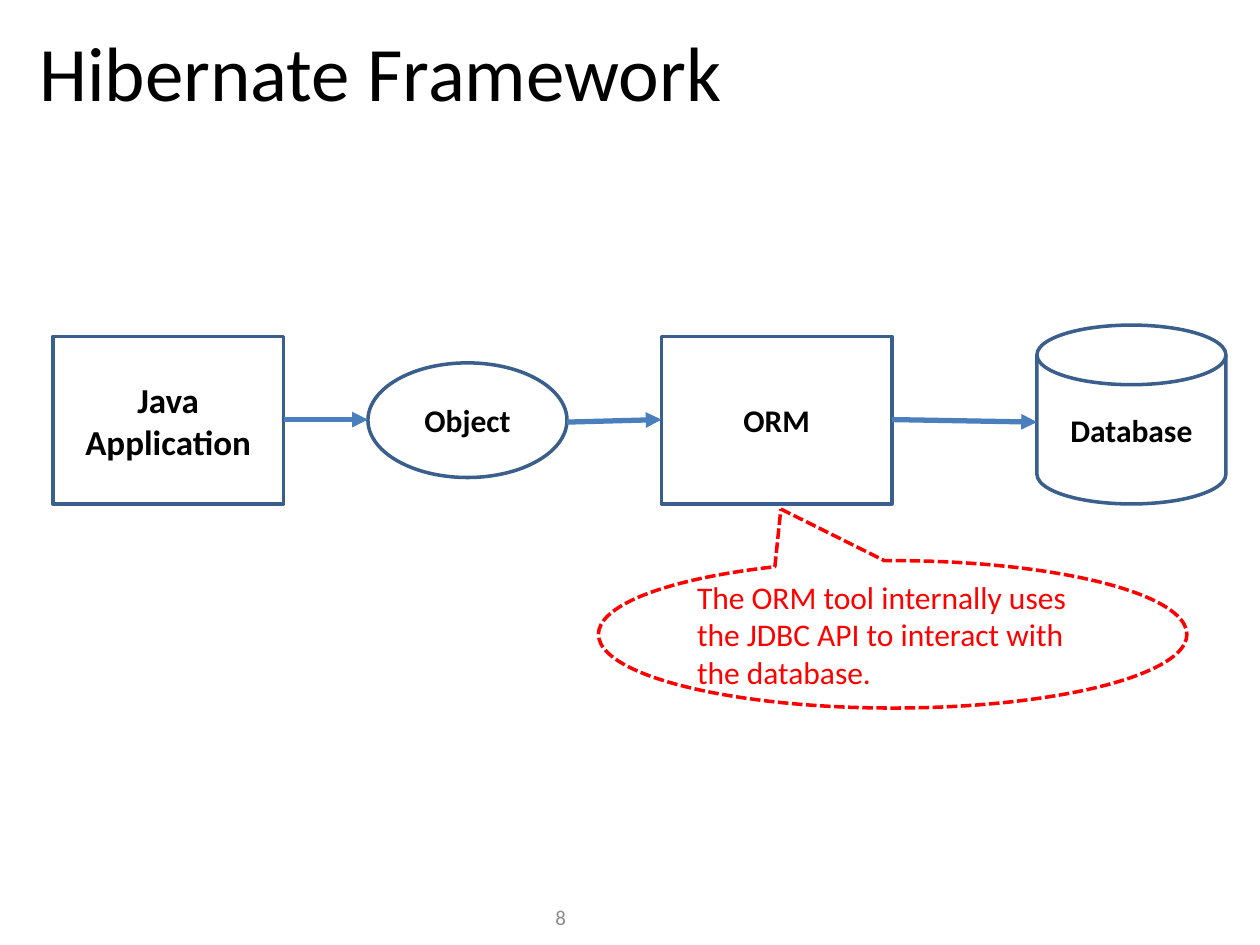
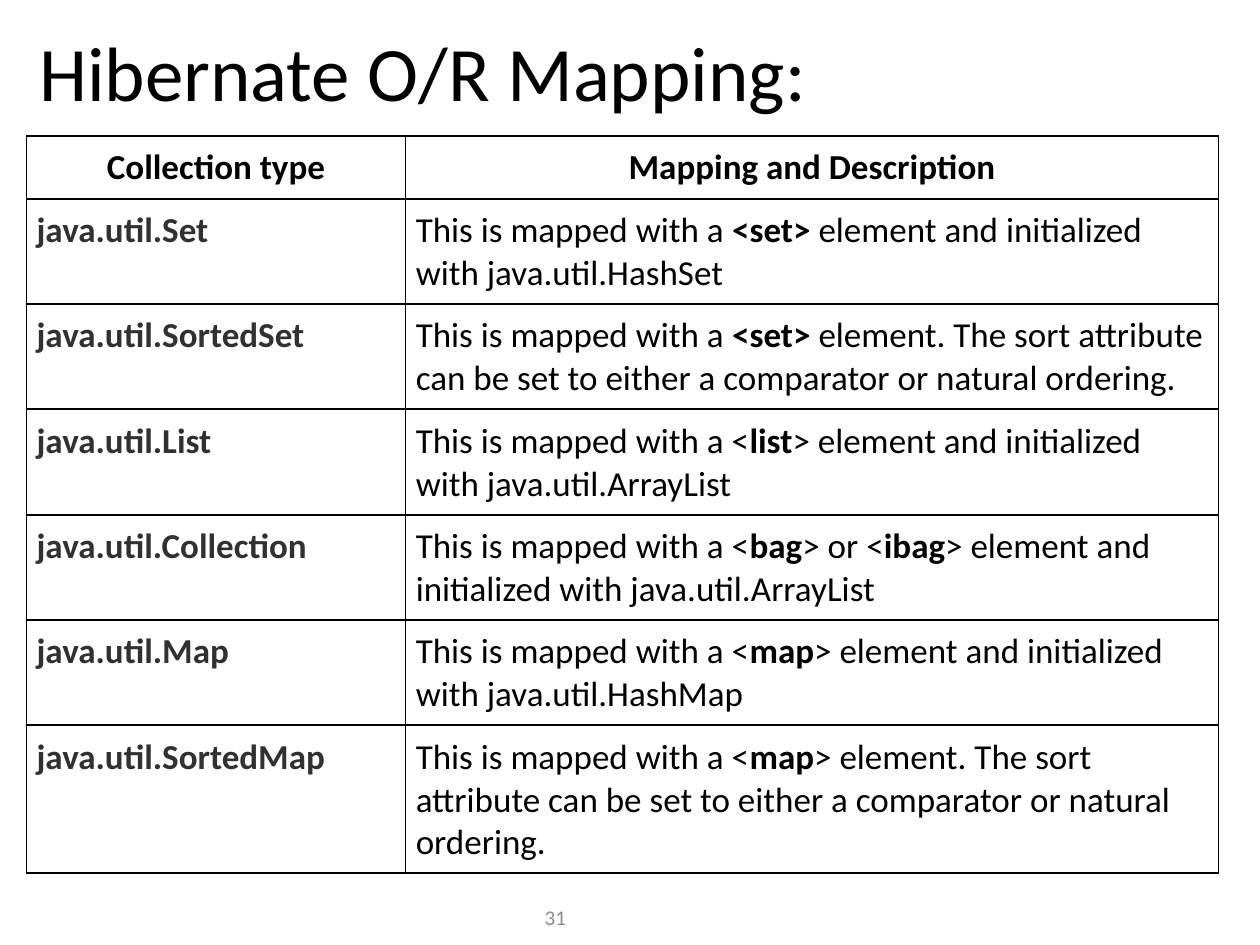
from lxml.etree import SubElement as Sub
from pptx import Presentation
from pptx.dml.color import RGBColor
from pptx.enum.dml import MSO_LINE as Dash
from pptx.enum.shapes import MSO_CONNECTOR as Link, MSO_SHAPE as Kind
from pptx.enum.text import MSO_ANCHOR as Anchor, PP_ALIGN as Align
from pptx.oxml import parse_xml
from pptx.oxml.ns import nsdecls, qn
from pptx.util import Inches, Pt

BLACK = RGBColor(0x00, 0x00, 0x00)
DARK = RGBColor(0x31, 0x31, 0x31)
GREY = RGBColor(0x8C, 0x8C, 0x8C)
NAVY = RGBColor(0x3A, 0x5F, 0x8C)
BLUE = RGBColor(0x4B, 0x7E, 0xBC)
RED = RGBColor(0xFF, 0x00, 0x00)
FONT = "Calibri"

LEFT = 0.21
COLS = (3.01, 6.45)
PAD = Inches(0.08)
MID = 3.33

NODES = [
    (Kind.RECTANGLE, (0.42, 2.67, 1.83, 1.33), "Java Application", 20),
    (Kind.RECTANGLE, (5.25, 2.67, 1.83, 1.33), "ORM", 18),
    (Kind.FLOWCHART_MAGNETIC_DISK, (8.23, 2.58, 1.5, 1.42), "Database", 18),
    (Kind.FLOWCHART_CONNECTOR, (2.92, 2.88, 1.58, 0.91), "Object", 18),
]
ARROWS = [
    (2.25, MID, 2.92, MID),
    (4.5, 3.35, 5.25, MID),
    (7.08, MID, 8.23, 3.35),
]
TYPES = [
    ("Set", "*<set> *element and initialized with java.util.HashSet", 0.83),
    ("SortedSet", "*<set> *element. The sort attribute can be set to either "
     "a comparator or natural ordering.", 0.83),
    ("List", "<*list*> element and initialized with java.util.ArrayList", 0.83),
    ("Collection", "<*bag*> or <*ibag*> element and initialized with "
     "java.util.ArrayList", 0.83),
    ("Map", "<*map*> element and initialized with java.util.HashMap", 0.83),
    ("SortedMap", "<*map*> element. The sort attribute can be set to either "
     "a comparator or natural ordering.", 1.17),
]


def place(box):
    return [Inches(n) for n in box]


def write(frame, text, size=20, color=BLACK, bold=False, align=Align.LEFT,
          anchor=Anchor.MIDDLE):
    frame.word_wrap = True
    frame.vertical_anchor = anchor
    para = frame.paragraphs[0]
    para.alignment = align
    for i, part in enumerate(text.split("*")):
        if part:
            run = para.add_run()
            run.text = part
            font = run.font
            font.name, font.size = FONT, Pt(size)
            font.bold = bold or i % 2 == 1
            font.color.rgb = color


def add_page(deck, title, number):
    slide = deck.slides.add_slide(deck.slide_layouts[5])
    head = slide.shapes.title
    head.left, head.top, head.width, head.height = place((LEFT, 0.12, 9.58, 0.88))
    write(head.text_frame, title, size=44)
    foot = slide.shapes.add_textbox(*place((3.92, 7.08, 0.67, 0.4)))
    write(foot.text_frame, str(number), size=12, color=GREY, align=Align.RIGHT)
    return slide


def add_node(slide, kind, box, text, line=NAVY, **style):
    node = slide.shapes.add_shape(kind, *place(box))
    node.shadow.inherit = False
    node.fill.background()
    node.line.color.rgb = line
    node.line.width = Pt(2)
    write(node.text_frame, text, **style)
    return node


def add_arrow(slide, ends):
    arrow = slide.shapes.add_connector(Link.STRAIGHT, *place(ends))
    arrow.line.color.rgb = BLUE
    arrow.line.width = Pt(3)
    Sub(arrow.line._get_or_add_ln(), qn("a:tailEnd"), type="triangle")
    Sub(arrow._element.spPr, qn("a:effectLst"))


def set_edges(cell):
    props = cell._tc.get_or_add_tcPr()
    for i, side in enumerate("LRTB"):
        props.insert(i, parse_xml(
            f'<a:ln{side} {nsdecls("a")} w="{Pt(1)}"><a:solidFill>'
            f'<a:srgbClr val="{BLACK}"/></a:solidFill></a:ln{side}>'))


def add_row(slide, top, high, texts, styles):
    box = place((LEFT, top, sum(COLS), high))
    table = slide.shapes.add_table(1, len(COLS), *box).table
    table.first_row = table.horz_banding = False
    for i, (text, style) in enumerate(zip(texts, styles)):
        table.columns[i].width = Inches(COLS[i])
        cell = table.cell(0, i)
        cell.fill.background()
        set_edges(cell)
        cell.margin_left = cell.margin_right = PAD
        cell.margin_top = cell.margin_bottom = PAD
        cell.vertical_anchor = Anchor.TOP
        write(cell.text_frame, text, anchor=None, **style)


def draw_flow(deck):
    slide = add_page(deck, "Hibernate Framework", 8)
    for kind, box, text, size in NODES:
        add_node(slide, kind, box, text, size=size, bold=True, align=Align.CENTER)
    for ends in ARROWS:
        add_arrow(slide, ends)
    note = add_node(
        slide, Kind.OVAL_CALLOUT, (4.75, 4.45, 4.67, 1.17),
        "The ORM tool internally uses the JDBC API to interact with the database.",
        line=RED, size=18, color=RED)
    note.line.dash_style = Dash.SQUARE_DOT
    note.adjustments[0] = -0.19
    note.adjustments[1] = -0.85


def draw_types(deck):
    slide = add_page(deck, "Hibernate O/R Mapping:", 31)
    head = {"bold": True, "align": Align.CENTER}
    add_row(slide, 1.08, 0.5, ("Collection type", "Mapping and Description"),
            (head, head))
    for i, (name, text, high) in enumerate(TYPES):
        texts = (f"java.util.{name}", f"This is mapped with a {text}")
        add_row(slide, 1.58 + i * 0.836, high, texts,
                ({"bold": True, "color": DARK}, {}))


def main():
    deck = Presentation()
    deck.slide_width, deck.slide_height = Inches(10), Inches(7.5)
    draw_flow(deck)
    draw_types(deck)
    deck.save("out.pptx")


if __name__ == "__main__":
    main()
